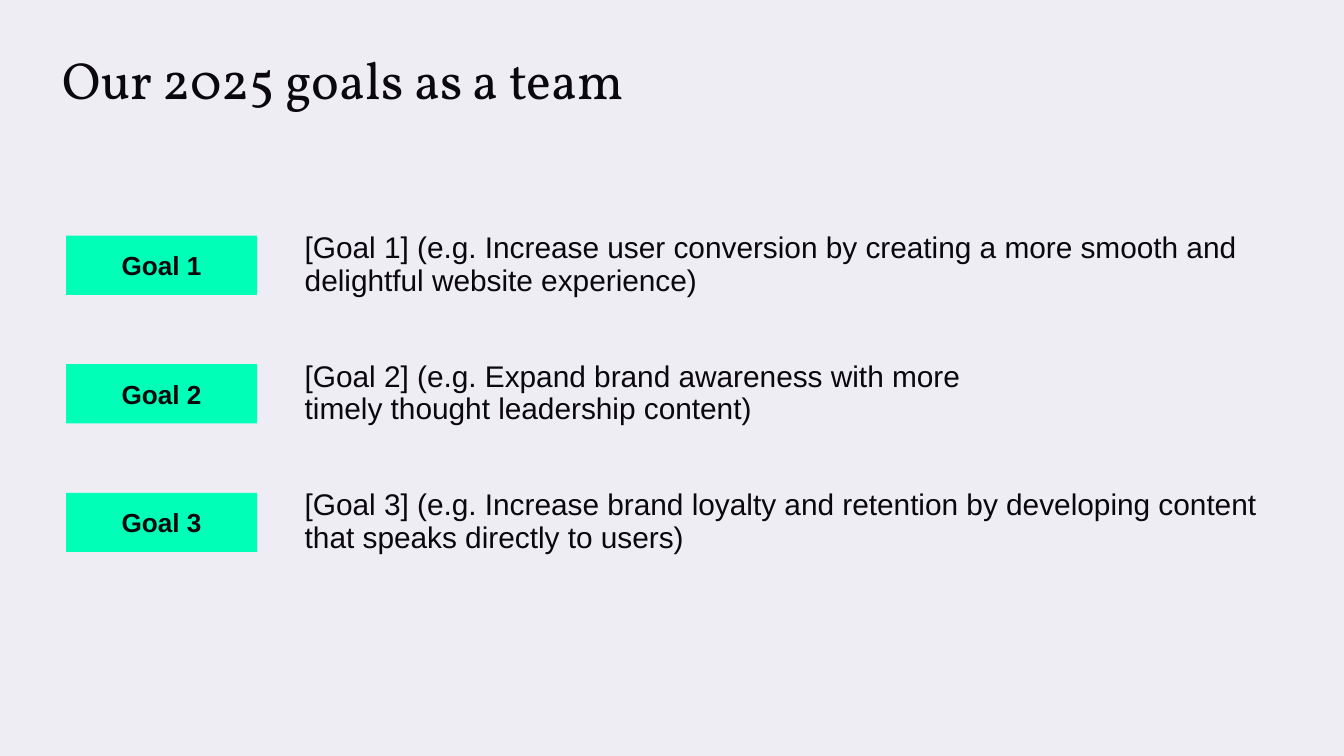
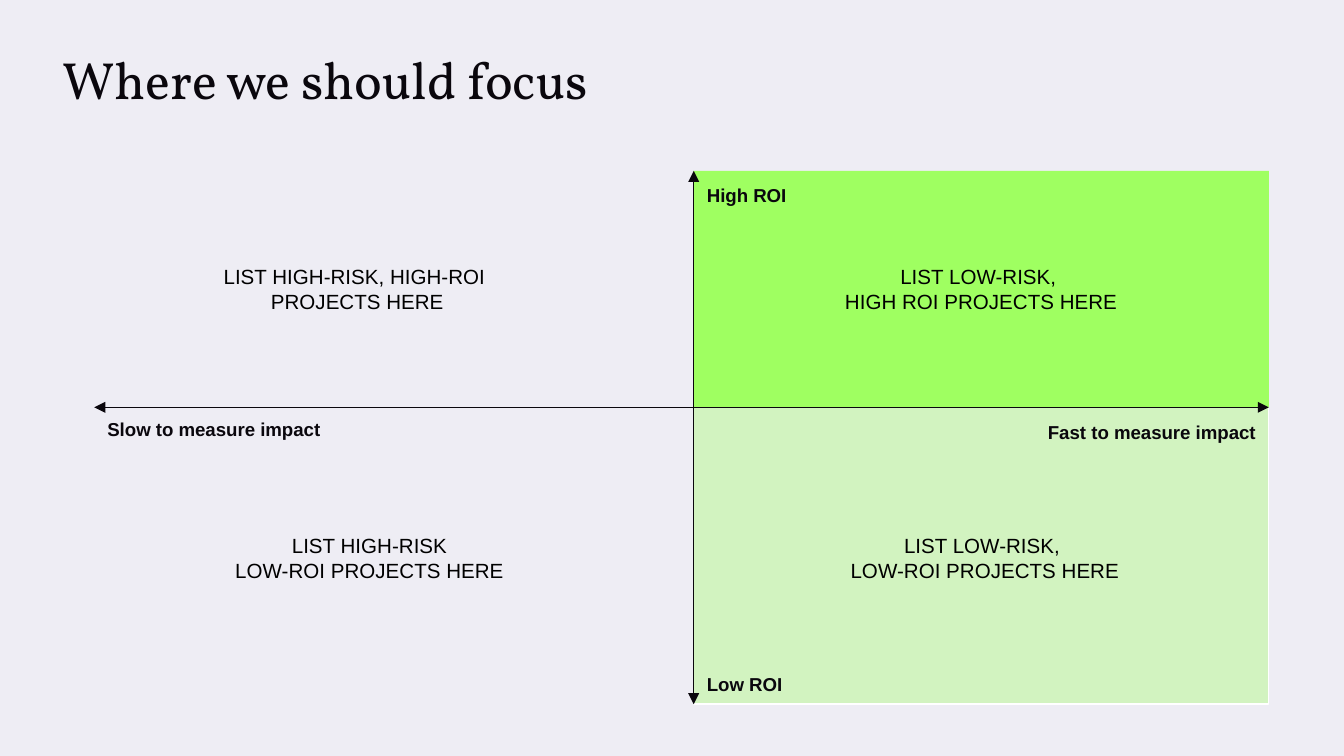
from lxml import etree
from pptx import Presentation
from pptx.dml.color import RGBColor
from pptx.enum.shapes import MSO_CONNECTOR, MSO_SHAPE
from pptx.enum.text import MSO_ANCHOR, MSO_AUTO_SIZE, PP_ALIGN
from pptx.oxml.ns import qn
from pptx.util import Cm, Pt

RECTANGLE = MSO_SHAPE.RECTANGLE
STRAIGHT = MSO_CONNECTOR.STRAIGHT
TOP, MIDDLE = MSO_ANCHOR.TOP, MSO_ANCHOR.MIDDLE
LEFT, CENTER, RIGHT = PP_ALIGN.LEFT, PP_ALIGN.CENTER, PP_ALIGN.RIGHT
NO_AUTOFIT = MSO_AUTO_SIZE.NONE

COLORS = {
    "background": "EEEDF4",
    "ink": "0A070D",
    "black": "000000",
    "white": "FFFFFF",
    "mint": "00FFB7",
    "lime": "9FFF61",
}
TITLE_FONT = "Vollkorn"
BODY_FONT = "Arial"
INSET = Cm(0.25)
TITLE_BOX = (0.94, 0.64, 22.23, 1.6)
GOALS_BOX = (1.25, 4.14, 23.41, 6.61)
MATRIX_BOX = (1.78, 3.23, 22.2, 10.08)

GOALS = [
    ("Goal 1", 19.03, "[Goal 1] (e.g. Increase user conversion by creating a more "
     "smooth and delightful website experience)"),
    ("Goal 2", 14.17, "[Goal 2] (e.g. Expand brand awareness with more timely "
     "thought leadership content)"),
    ("Goal 3", 19.15, "[Goal 3] (e.g. Increase brand loyalty and retention by "
     "developing content that speaks directly to users)"),
]


def color(name):
    return RGBColor.from_string(COLORS[name])


def write(shape, text, size, ink="ink", font=BODY_FONT, bold=False,
          align=LEFT, anchor=TOP):
    frame = shape.text_frame
    frame.word_wrap = True
    frame.auto_size = NO_AUTOFIT
    frame.vertical_anchor = anchor
    frame.margin_left = frame.margin_right = INSET
    frame.margin_top = frame.margin_bottom = INSET
    paragraph = frame.paragraphs[0]
    paragraph.text = text
    paragraph.alignment = align
    paragraph.font.name = font
    paragraph.font.size = Pt(size)
    paragraph.font.bold = bold
    paragraph.font.color.rgb = color(ink)
    return paragraph


def add_text(slide, box, text, size, **style):
    shape = slide.shapes.add_textbox(*map(Cm, box))
    return write(shape, text, size, **style)


def add_rectangle(slide, box, fill):
    shape = slide.shapes.add_shape(RECTANGLE, *map(Cm, box))
    shape.shadow.inherit = False
    shape.fill.solid()
    shape.fill.fore_color.rgb = color(fill)
    shape.line.fill.background()
    return shape


def add_axis(slide, start, end):
    axis = slide.shapes.add_connector(STRAIGHT, *map(Cm, start + end))
    axis.line.color.rgb = color("ink")
    axis.line.width = Pt(0.75)
    properties = axis.element.spPr
    outline = properties.find(qn("a:ln"))
    for tip in ("a:headEnd", "a:tailEnd"):
        etree.SubElement(outline, qn(tip), type="triangle")
    etree.SubElement(properties, qn("a:effectLst"))


def add_titled_slide(presentation, title):
    slide = presentation.slides.add_slide(presentation.slide_layouts[5])
    shape = slide.shapes.title
    shape.left, shape.top, shape.width, shape.height = map(Cm, TITLE_BOX)
    write(shape, title, 28, font=TITLE_FONT)
    return slide


def add_goals(slide, box):
    left, top, width, height = box
    badge_width, badge_height, row_height, text_offset = 3.61, 1.12, 1.75, 4.26
    pitch = (height - row_height) / (len(GOALS) - 1)
    for index, (name, text_width, description) in enumerate(GOALS):
        row_top = top + index * pitch
        badge_top = row_top + (row_height - badge_height) / 2
        badge = add_rectangle(
            slide, (left, badge_top, badge_width, badge_height), "mint")
        write(badge, name, 14, bold=True, align=CENTER, anchor=MIDDLE)
        paragraph = add_text(
            slide, (left + text_offset, row_top, text_width, row_height),
            description, 16, anchor=MIDDLE)
        paragraph.line_spacing = 0.9
        paragraph.space_after = Pt(10)


def add_matrix(slide, box):
    left, top, width, height = box
    right, bottom = left + width, top + height
    axis_x, axis_y = left + 11.33, top + 4.47
    half_width = right - axis_x

    low = add_rectangle(
        slide, (axis_x, axis_y, half_width, bottom - axis_y), "lime")
    tint = low.element.spPr.find(qn("a:solidFill")).find(qn("a:srgbClr"))
    etree.SubElement(tint, qn("a:alpha"), val="35000")
    low.line.color.rgb = color("white")
    low.line.width = Pt(0.75)

    high = add_rectangle(slide, (axis_x, top, half_width, axis_y - top), "lime")
    write(high, "LIST LOW-RISK, \nHIGH ROI PROJECTS HERE", 11,
          ink="black", align=CENTER, anchor=MIDDLE)

    label_height, roi_width, impact_width = 0.94, 3.38, 7.11
    labels = [
        ("High ROI", axis_x, top, roi_width, LEFT),
        ("Low ROI", axis_x, bottom - 0.84, roi_width, LEFT),
        ("Slow to measure impact", left, axis_y - 0.05, impact_width, LEFT),
        ("Fast to measure impact", right - impact_width, axis_y, impact_width, RIGHT),
    ]
    for text, label_left, label_top, label_width, align in labels:
        add_text(slide, (label_left, label_top, label_width, label_height),
                 text, 10, bold=True, align=align)

    add_axis(slide, (axis_x, bottom), (axis_x, top))
    add_axis(slide, (right, axis_y), (left, axis_y))

    notes = [
        ("LIST LOW-RISK, \nLOW-ROI PROJECTS HERE", 12.67, 6.6),
        ("LIST HIGH-RISK\nLOW-ROI PROJECTS HERE", 1.04, 6.6),
        ("LIST HIGH-RISK, HIGH-ROI \nPROJECTS HERE", 0.81, 1.52),
    ]
    for text, offset_x, offset_y in notes:
        add_text(slide, (left + offset_x, top + offset_y, 8.33, 1.45),
                 text, 11, ink="black", align=CENTER)


def main():
    presentation = Presentation()
    presentation.slide_width, presentation.slide_height = Cm(25.4), Cm(14.29)
    background = presentation.slide_master.background.fill
    background.solid()
    background.fore_color.rgb = color("background")
    add_goals(add_titled_slide(presentation, "Our 2025 goals as a team"), GOALS_BOX)
    add_matrix(add_titled_slide(presentation, "Where we should focus"), MATRIX_BOX)
    presentation.save("out.pptx")


if __name__ == "__main__":
    main()
